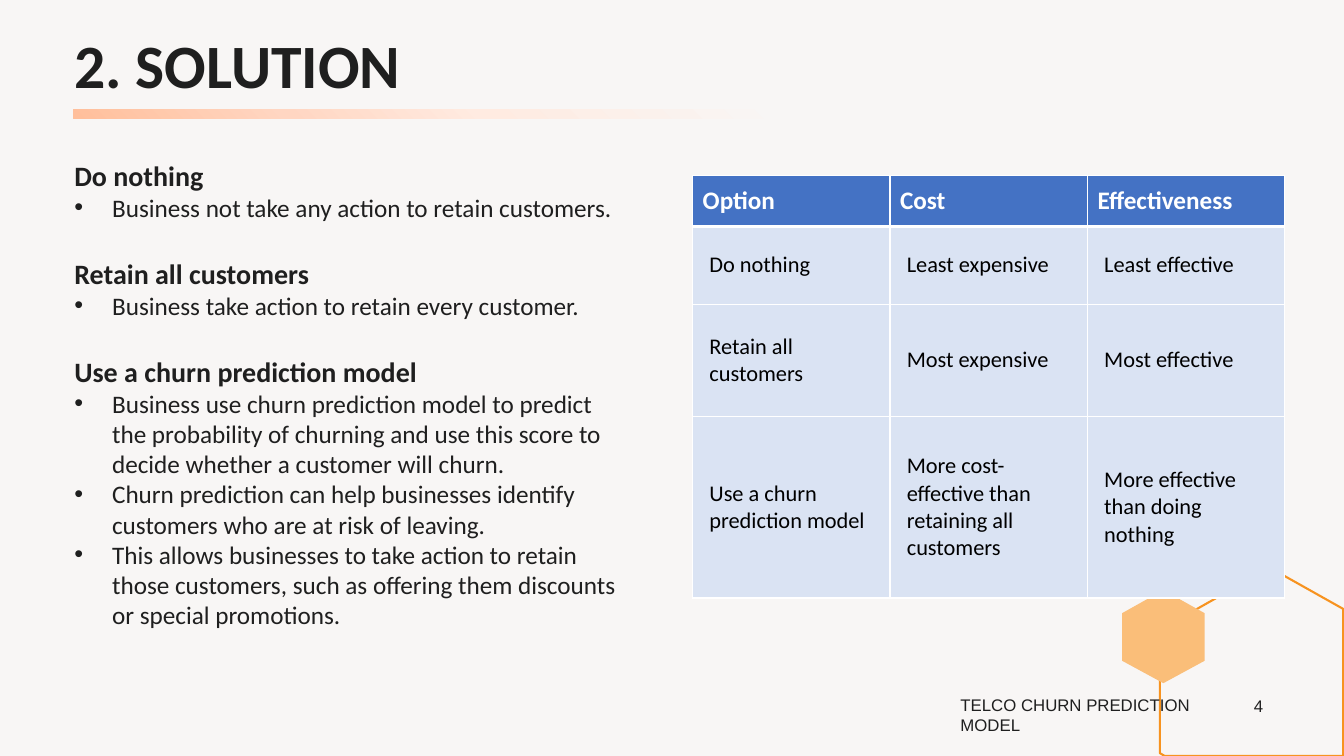
from dataclasses import dataclass

from lxml.etree import SubElement as Sub
from pptx import Presentation
from pptx.dml.color import RGBColor as Rgb
from pptx.enum.shapes import MSO_SHAPE as Shape
from pptx.enum.text import MSO_ANCHOR as Anchor, PP_ALIGN as Align
from pptx.oxml import parse_xml
from pptx.oxml.ns import nsdecls, qn
from pptx.util import Pt

HUES = {
    "page": "F8F6F5", "ink": "1F1F1F", "black": "000000", "white": "FFFFFF",
    "edge": "F79320", "amber": "FABE79", "head": "4472C4", "row": "DAE3F3",
}
FADE = {0: "FFBF9B", 29: "FFD6C2", 55: "FFEBE1", 96: "F8F6F5"}


@dataclass
class Box:
    left: float
    top: float
    width: float
    height: float

    def lengths(self) -> list:
        return [Pt(n) for n in (self.left, self.top, self.width, self.height)]


@dataclass
class Topic:
    title: str
    points: list[str]


@dataclass
class Outline:
    dots: list[tuple[float, float]]
    fill: str = ""
    line: str = ""


OUTLINES = [
    Outline([(907, 405.5), (959.5, 435), (959.5, 540), (832, 540), (828.5, 538),
             (828.5, 450)], line="edge"),
    Outline([(831, 421.5), (860.5, 438), (860.5, 472), (831, 488),
             (801.5, 472), (801.5, 438)], fill="amber"),
]
TOPICS = [
    Topic("Do nothing", ["Business not take any action to retain customers."]),
    Topic("Retain all customers", ["Business take action to retain every customer."]),
    Topic("Use a churn prediction model", [
        "Business use churn prediction model to predict the probability of churning "
        "and use this score to decide whether a customer will churn.",
        "Churn prediction can help businesses identify customers who are at risk of leaving.",
        "This allows businesses to take action to retain those customers, such as "
        "offering them discounts or special promotions.",
    ]),
]
ROWS = [
    ("Option", "Cost", "Effectiveness"),
    ("Do nothing", "Least expensive", "Least effective"),
    ("Retain all customers", "Most expensive", "Most effective"),
    ("Use a churn prediction model", "More cost-effective than retaining all customers",
     "More effective than doing nothing"),
]
HEIGHTS = [36.5, 55.5, 80, 130]


def tint(name: str) -> Rgb:
    return Rgb.from_string(HUES[name])


def write(para, text: str, *, size: float, font: str = "Calibri", hue: str = "ink",
          bold: bool = False, align=Align.LEFT, before: float = 0, after: float = 0,
          pitch: float = 1, bullet: bool = False) -> None:
    para.alignment = align
    para.space_before, para.space_after = Pt(before), Pt(after)
    para.line_spacing = pitch
    if bullet:
        props = para._p.get_or_add_pPr()
        props.set("marL", str(Pt(27)))
        props.set("indent", str(-Pt(27)))
        Sub(props, qn("a:buFont"), typeface="Arial")
        Sub(props, qn("a:buChar"), char="•")
    run = para.add_run()
    run.text = text
    run.font.size, run.font.name, run.font.bold = Pt(size), font, bold
    run.font.color.rgb = tint(hue)


def add_frame(slide, box: Box, anchor=Anchor.TOP):
    frame = slide.shapes.add_textbox(*box.lengths()).text_frame
    frame.word_wrap = True
    frame.vertical_anchor = anchor
    return frame


def draw_outline(slide, item: Outline) -> None:
    first, *rest = [(Pt(x), Pt(y)) for x, y in item.dots]
    maker = slide.shapes.build_freeform(*first)
    maker.add_line_segments(rest, close=True)
    form = maker.convert_to_shape()
    form.shadow.inherit = False
    if item.fill:
        form.fill.solid()
        form.fill.fore_color.rgb = tint(item.fill)
    else:
        form.fill.background()
    if item.line:
        form.line.color.rgb = tint(item.line)
        form.line.width = Pt(1.5)
    else:
        form.line.fill.background()


def draw_rule(slide, box: Box) -> None:
    rule = slide.shapes.add_shape(Shape.RECTANGLE, *box.lengths())
    rule.shadow.inherit = False
    rule.line.fill.background()
    stops = "".join(f'<a:gs pos="{spot * 1000}"><a:srgbClr val="{hue}"/></a:gs>'
                    for spot, hue in FADE.items())
    fade = parse_xml(
        f'<a:gradFill {nsdecls("a")}><a:gsLst>{stops}</a:gsLst><a:path path="circle">'
        '<a:fillToRect t="100000" r="100000"/></a:path></a:gradFill>')
    rule._element.spPr.find(qn("a:prstGeom")).addnext(fade)


def edge_cell(cell, top: float, bottom: float) -> None:
    props = cell._tc.get_or_add_tcPr()
    widths = {"lnL": 1, "lnR": 1, "lnT": top, "lnB": bottom}
    for spot, (side, width) in enumerate(widths.items()):
        props.insert(spot, parse_xml(
            f'<a:{side} {nsdecls("a")} w="{Pt(width)}"><a:solidFill>'
            f'<a:srgbClr val="{HUES["white"]}"/></a:solidFill></a:{side}>'))


def draw_table(slide, box: Box) -> None:
    table = slide.shapes.add_table(len(ROWS), len(ROWS[0]), *box.lengths()).table
    for col in table.columns:
        col.width = Pt(box.width / len(ROWS[0]))
    for i, (texts, height) in enumerate(zip(ROWS, HEIGHTS)):
        table.rows[i].height = Pt(height)
        head = i == 0
        for j, text in enumerate(texts):
            cell = table.cell(i, j)
            cell.vertical_anchor = Anchor.MIDDLE
            cell.fill.solid()
            cell.fill.fore_color.rgb = tint("head" if head else "row")
            if not head:
                cell.margin_left = cell.margin_right = Pt(12)
                cell.margin_top = cell.margin_bottom = Pt(12)
            edge_cell(cell, 3 if i == 1 else 1, 3 if head else 1)
            write(cell.text_frame.paragraphs[0], text, size=18 if head else 16,
                  hue="white" if head else "black", bold=head)


def draw_topics(slide, box: Box) -> None:
    frame = add_frame(slide, box)
    for i, topic in enumerate(TOPICS):
        para = frame.add_paragraph() if i else frame.paragraphs[0]
        write(para, topic.title, size=20, bold=True, before=24.4 if i else 0)
        for point in topic.points:
            write(frame.add_paragraph(), point, size=18, bullet=True)


def main() -> None:
    deck = Presentation()
    deck.slide_width, deck.slide_height = Pt(960), Pt(540)
    slide = deck.slides.add_slide(deck.slide_layouts[6])
    slide.background.fill.solid()
    slide.background.fill.fore_color.rgb = tint("page")
    for item in OUTLINES:
        draw_outline(slide, item)
    page = add_frame(slide, Box(881, 489.5, 36, 29), Anchor.MIDDLE)
    write(page.paragraphs[0], "4", size=12, font="Arial", align=Align.CENTER)
    title = add_frame(slide, Box(46, 21.5, 475, 53))
    write(title.paragraphs[0], "2. SOLUTION", size=44, bold=True, pitch=0.9)
    draw_rule(slide, Box(52.5, 78.5, 530, 6))
    foot = add_frame(slide, Box(679, 492.5, 202.5, 23))
    write(foot.paragraphs[0], "TELCO CHURN PREDICTION MODEL", size=12, font="Arial", after=6)
    draw_topics(slide, Box(46, 109.5, 404, 383))
    draw_table(slide, Box(494.75, 125.25, 423, sum(HEIGHTS)))
    deck.save("out.pptx")


if __name__ == "__main__":
    main()
